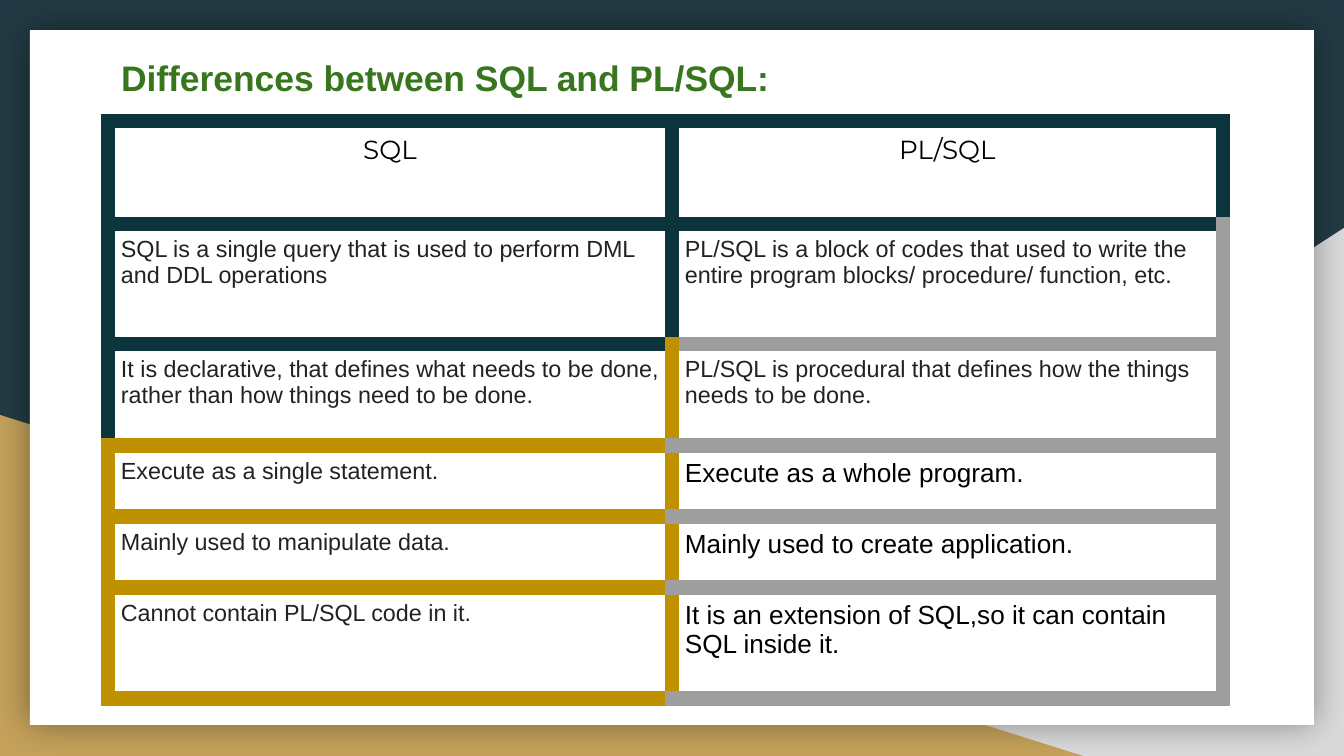
from dataclasses import dataclass
from typing import NamedTuple

from lxml.etree import SubElement
from pptx import Presentation
from pptx.dml.color import RGBColor
from pptx.enum.shapes import MSO_SHAPE as Preset
from pptx.enum.text import MSO_ANCHOR as Anchor, MSO_AUTO_SIZE as AutoSize, PP_ALIGN as Align
from pptx.oxml.ns import qn
from pptx.util import Pt

EMU_PER_PX = 914400 / 134.4
INSET = 13


@dataclass(frozen=True)
class Theme:
    backdrop: str = "233A44"
    light: str = "D9D9D9"
    sand: str = "C4A15A"
    white: str = "FFFFFF"
    black: str = "000000"
    title: str = "38761D"
    body: str = "222222"
    teal: str = "0C343D"
    gold: str = "BF9000"
    grey: str = "9E9E9E"
    title_size: float = 19
    large_size: float = 14
    body_size: float = 12.5
    border_width: float = 9


class Box(NamedTuple):
    left: int
    top: int
    width: int
    height: int


class TextStyle(NamedTuple):
    font: str
    size: float
    color: str
    align: Align = Align.LEFT
    bold: bool = False


class Borders(NamedTuple):
    left: str
    top: str
    right: str
    bottom: str


class CellSpec(NamedTuple):
    text: str
    style: TextStyle
    borders: Borders


THEME = Theme()
TITLE = TextStyle("Arial", THEME.title_size, THEME.title, bold=True)
HEADER = TextStyle("Montserrat", THEME.large_size, THEME.black, Align.CENTER)
BODY = TextStyle("Arial", THEME.body_size, THEME.body)
LARGE = TextStyle("Arial", THEME.large_size, THEME.black)

T, G, S = THEME.teal, THEME.gold, THEME.grey
TEAL = Borders(T, T, T, T)
GOLD = Borders(G, G, G, G)
GOLD_GREY = Borders(G, S, S, S)

TABLE = Box(108, 121, 1115, 578)
COLUMNS = (564, 551)
ROWS = (103, 120, 102, 71, 71, 111)
CELLS = (
    (CellSpec("SQL", HEADER, TEAL), CellSpec("PL/SQL", HEADER, TEAL)),
    (CellSpec("SQL is a single query that is used to perform DML and DDL operations",
              BODY, TEAL),
     CellSpec("PL/SQL is a block of codes that used to write the entire program "
              "blocks/ procedure/ function, etc.", BODY, Borders(T, T, S, S))),
    (CellSpec("It is declarative, that defines what needs to be done, rather than "
              "how things need to be done.", BODY, Borders(T, T, G, G)),
     CellSpec("PL/SQL is procedural that defines how the things needs to be done.",
              BODY, GOLD_GREY)),
    (CellSpec("Execute as a single statement.", BODY, GOLD),
     CellSpec("Execute as a whole program.", LARGE, GOLD_GREY)),
    (CellSpec("Mainly used to manipulate data.", BODY, GOLD),
     CellSpec("Mainly used to create application.", LARGE, GOLD_GREY)),
    (CellSpec("Cannot contain PL/SQL code in it.", BODY, GOLD),
     CellSpec("It is an extension of SQL,so it can contain SQL inside it.", LARGE, GOLD_GREY)),
)


def px(length: int) -> int:
    return round(length * EMU_PER_PX)


def set_all(target, values: dict) -> None:
    for name, value in values.items():
        setattr(target, name, value)


def write_text(frame, text: str, style: TextStyle) -> None:
    frame.text = text
    paragraph = frame.paragraphs[0]
    paragraph.alignment = style.align
    font = paragraph.runs[0].font
    set_all(font, {"name": style.font, "size": Pt(style.size), "bold": style.bold})
    font.color.rgb = RGBColor.from_string(style.color)


def add_panel(slide, preset: Preset, box: Box, color: str):
    shape = slide.shapes.add_shape(preset, *map(px, box))
    shape.shadow.inherit = False
    shape.fill.solid()
    shape.fill.fore_color.rgb = RGBColor.from_string(color)
    shape.line.fill.background()
    return shape


def add_glow(shape) -> None:
    """Put an even soft shadow around the shape."""
    effects = shape._element.spPr.find(qn("a:effectLst"))
    shadow = SubElement(effects, qn("a:outerShdw"), blurRad=str(Pt(18)), dist="0", dir="0",
                        algn="ctr", rotWithShape="0")
    color = SubElement(shadow, qn("a:srgbClr"), val=THEME.black)
    SubElement(color, qn("a:alpha"), val="40000")


def draw_backdrop(slide) -> None:
    slide.background.fill.solid()
    slide.background.fill.fore_color.rgb = RGBColor.from_string(THEME.backdrop)
    right = add_panel(slide, Preset.RIGHT_TRIANGLE, Box(527, 228, 817, 528), THEME.light)
    right._element.spPr.xfrm.set("flipH", "1")
    add_panel(slide, Preset.RIGHT_TRIANGLE, Box(0, 415, 1083, 341), THEME.sand)
    add_glow(add_panel(slide, Preset.RECTANGLE, Box(30, 30, 1284, 695), THEME.white))


def draw_title(slide, text: str, box: Box) -> None:
    title = slide.shapes.title
    set_all(title, dict(zip(box._fields, map(px, box))))
    frame = title.text_frame
    set_all(frame, {"auto_size": AutoSize.NONE, "word_wrap": True,
                    "vertical_anchor": Anchor.TOP})
    set_all(frame, {f"margin_{side}": px(INSET) for side in Borders._fields})
    write_text(frame, text, TITLE)
    slide.shapes._spTree.append(title._element)  # in front of the backdrop


def draw_cell(cell, spec: CellSpec) -> None:
    set_all(cell, {f"margin_{side}": px(INSET) for side in Borders._fields})
    cell.vertical_anchor = Anchor.TOP
    write_text(cell.text_frame, spec.text, spec.style)
    properties = cell._tc.get_or_add_tcPr()
    borders = spec.borders
    for tag, color in (("lnL", borders.left), ("lnR", borders.right),
                       ("lnT", borders.top), ("lnB", borders.bottom)):
        line = SubElement(properties, qn(f"a:{tag}"), w=str(Pt(THEME.border_width)))
        SubElement(SubElement(line, qn("a:solidFill")), qn("a:srgbClr"), val=color)
    cell.fill.background()


def draw_table(slide) -> None:
    frame = slide.shapes.add_table(len(ROWS), len(COLUMNS), *map(px, TABLE))
    table = frame.table
    set_all(table, {"first_row": False, "horz_banding": False})
    for column, width in zip(table.columns, COLUMNS):
        column.width = px(width)
    for row, height, specs in zip(table.rows, ROWS, CELLS):
        row.height = px(height)
        for cell, spec in zip(row.cells, specs):
            draw_cell(cell, spec)


def main() -> None:
    presentation = Presentation()
    set_all(presentation, {"slide_width": px(1344), "slide_height": px(756)})
    slide = presentation.slides.add_slide(presentation.slide_layouts[5])
    draw_backdrop(slide)
    draw_title(slide, "Differences between SQL and PL/SQL:", Box(108, 43, 1103, 140))
    draw_table(slide)
    presentation.save("out.pptx")


if __name__ == "__main__":
    main()
